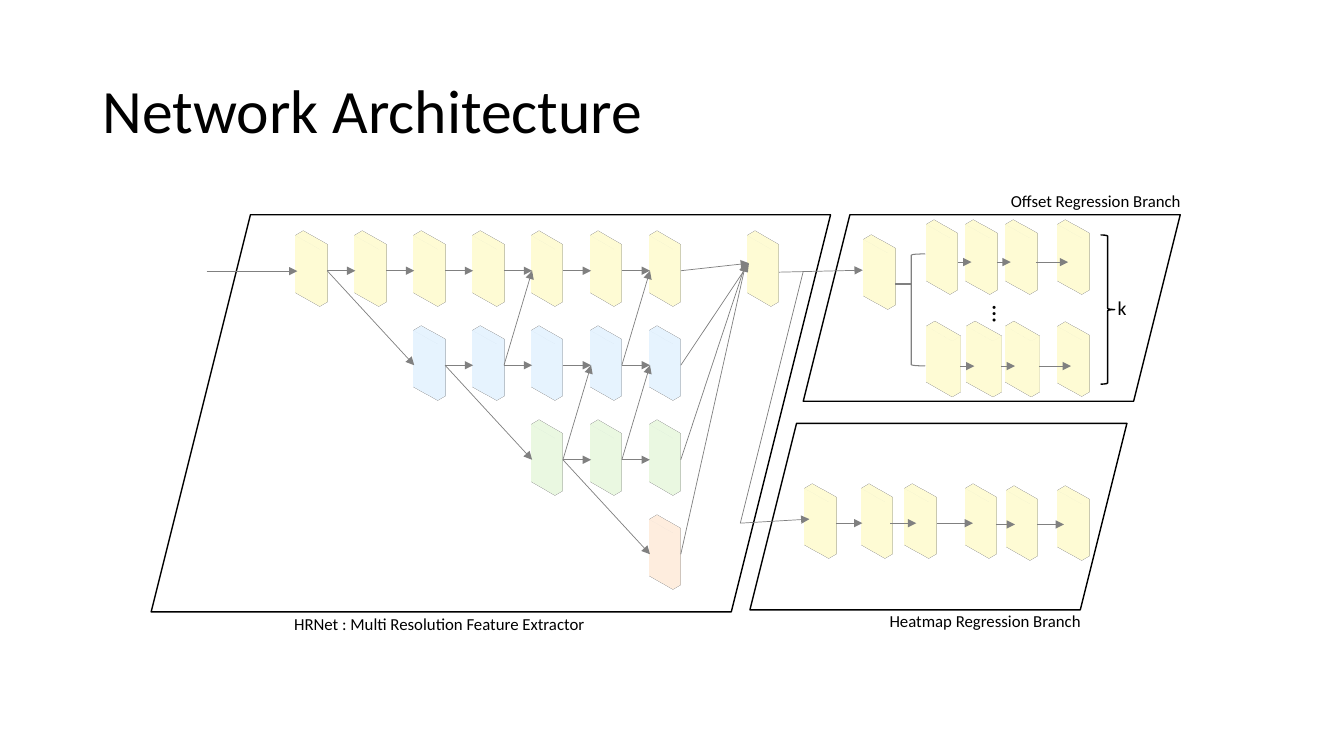
import pptx
import pptx.util
import pptx.dml.color
import pptx.enum.shapes
import pptx.enum.text
import pptx.oxml
import pptx.oxml.ns
from dataclasses import dataclass

Pt = pptx.util.Pt
Kind = pptx.enum.shapes.MSO_SHAPE
SPACE = pptx.oxml.ns.nsdecls("a")
FONT = "Calibri"
INK = {
    "black": "000000",
    "grey": "808080",
    "edge": "325491",
    "yellow": "FFF2CC",
    "blue": "DEEBF7",
    "green": "E2F0D9",
    "orange": "FBE5D6",
}
HEIGHT = 56.9
COL, ROW = 42.1, 67.5
LEFT, TOP = 206.7, 163.4
PORT = 30
LAST = 6
SCENE = (
    f'<a:scene3d {SPACE}><a:camera prst="isometricLeftDown"/>'
    '<a:lightRig rig="threePt" dir="t"/></a:scene3d>'
)


@dataclass
class Block:
    x: float
    y: float
    fill: str = "yellow"
    width: float = 31.7


@dataclass
class Link:
    x1: float
    y1: float
    x2: float
    y2: float
    head: bool = True
    weight: float = 0.5


@dataclass
class Frame:
    kind: Kind
    x: float
    y: float
    width: float
    height: float
    ink: str = "black"
    weight: float = 1


@dataclass
class Label:
    text: str
    x: float
    y: float
    width: float
    height: float
    size: float = 12
    wrap: bool = True
    turn: bool = False


def tint(name: str) -> pptx.dml.color.RGBColor:
    return pptx.dml.color.RGBColor.from_string(INK[name])


def stroke(line, ink: str, weight: float) -> None:
    line.color.rgb = tint(ink)
    line.width = Pt(weight)


def place(shapes, kind: Kind, item: Block | Frame, height: float):
    shape = shapes.add_shape(
        kind, Pt(item.x), Pt(item.y), Pt(item.width), Pt(height)
    )
    shape.shadow.inherit = False
    return shape


def draw_block(shapes, block: Block) -> None:
    shape = place(shapes, Kind.CUBE, block, HEIGHT)
    shape.fill.solid()
    shape.fill.fore_color.rgb = tint(block.fill)
    stroke(shape.line, "edge", 0)
    props = shape._element.spPr
    color = props.find(pptx.oxml.ns.qn("a:ln")).find(".//" + pptx.oxml.ns.qn("a:srgbClr"))
    color.append(pptx.oxml.parse_xml(f'<a:alpha {SPACE} val="19000"/>'))
    props.append(pptx.oxml.parse_xml(SCENE))


def draw_link(shapes, link: Link) -> None:
    wire = shapes.add_connector(
        pptx.enum.shapes.MSO_CONNECTOR.STRAIGHT,
        Pt(link.x1), Pt(link.y1), Pt(link.x2), Pt(link.y2),
    )
    stroke(wire.line, "grey", link.weight)
    props = wire._element.spPr
    if link.head:
        tail = pptx.oxml.parse_xml(f'<a:tailEnd {SPACE} type="triangle"/>')
        props.find(pptx.oxml.ns.qn("a:ln")).append(tail)
    props.append(pptx.oxml.parse_xml(f"<a:effectLst {SPACE}/>"))


def draw_frame(shapes, frame: Frame) -> None:
    shape = place(shapes, frame.kind, frame, frame.height)
    shape.fill.background()
    stroke(shape.line, frame.ink, frame.weight)


def style(frame, size: float) -> None:
    for run in frame.paragraphs[0].runs:
        run.font.name = FONT
        run.font.size = Pt(size)
        run.font.color.rgb = tint("black")


def draw_label(shapes, label: Label) -> None:
    box = shapes.add_textbox(
        Pt(label.x), Pt(label.y), Pt(label.width), Pt(label.height)
    )
    frame = box.text_frame
    frame.word_wrap = label.wrap
    frame.auto_size = pptx.enum.text.MSO_AUTO_SIZE.SHAPE_TO_FIT_TEXT
    frame.text = label.text
    style(frame, label.size)
    if label.turn:
        frame._txBody.bodyPr.set("vert", "eaVert")


def spot(col: int, row: int) -> tuple[float, float]:
    return LEFT + COL * col, TOP + ROW * row


def out(col: int, row: int) -> tuple[float, float]:
    x, y = spot(col, row)
    return x + 27, y + PORT


def join(start: tuple[int, int], end: tuple[int, int]) -> Link:
    x, y = spot(*end)
    return Link(*out(*start), x + 5, y + PORT)


def main() -> None:
    deck = pptx.Presentation()
    deck.slide_width, deck.slide_height = Pt(960), Pt(540)
    slide = deck.slides.add_slide(deck.slide_layouts[5])
    shapes = slide.shapes

    title = shapes.title
    title.left, title.top = Pt(66.2), Pt(28.8)
    title.width, title.height = Pt(828), Pt(104.4)
    frame = title.text_frame
    frame.text = "Network Architecture"
    frame.auto_size = pptx.enum.text.MSO_AUTO_SIZE.NONE
    frame.vertical_anchor = pptx.enum.text.MSO_ANCHOR.MIDDLE
    frame.paragraphs[0].alignment = pptx.enum.text.PP_ALIGN.LEFT
    frame.paragraphs[0].line_spacing = 0.9
    style(frame, 44)

    fills = ["yellow", "blue", "green", "orange"]
    cells = [(col, row) for row in range(4) for col in range(2 * row, LAST + 1)]
    blocks = [Block(*spot(*cell), fills[cell[1]]) for cell in cells]
    blocks += [Block(529.2, TOP), Block(612.4, 166)]
    blocks += [Block(x, 155) for x in (657.2, 685.3, 713.8, 751)]
    blocks += [Block(x, 228.2, width=34.6) for x in (656.6, 685.6, 713)]
    blocks.append(Block(751, 228.2))
    blocks += [Block(x, 343.7) for x in (570.2, 610.4, 641.6, 685)]
    blocks += [Block(x, 345.2) for x in (714.4, 751)]

    links = [join((c, r), (c + 1, r)) for c, r in cells if c < LAST]
    links += [join((2 * r, r), (2 * r + 2, r + 1)) for r in range(3)]
    rises = [(3, 1), (5, 1), (4, 2), (5, 2)]
    links += [join((c, r), (c + 1, r - 1)) for c, r in rises]
    ends = [535, 535, 532.8, 532.8]
    links += [Link(*out(LAST, row), x, 188) for row, x in enumerate(ends)]
    links += [Link(147.6, 193.7, 212.4, 193.7), Link(556.6, 194.4, 616.3, 193)]
    links.append(Link(639.4, 203, 650.9, 203, False, 1))
    flows = [
        (187.2, [(684, 694), (712, 722), (740, 763)]),
        (261.5, [(686, 696), (715, 725), (742, 765)]),
        (373.7, [(597, 616), (636, 654.5), (669, 695)]),
        (374.6, [(711.4, 725), (741, 760)]),
    ]
    links += [Link(a, y, b, y) for y, spans in flows for a, b in spans]
    links.append(Link(573.8, 193.7, 528.8, 373.7, False))
    links.append(Link(528.8, 373.7, 578.2, 370.8))

    slant = Kind.PARALLELOGRAM
    frames = [
        Frame(slant, 108, 153.4, 485.3, 283.7),
        Frame(slant, 573.8, 153.4, 269.3, 133.2),
        Frame(slant, 535.7, 302.4, 269.3, 133.2),
        Frame(Kind.LEFT_BRACKET, 650.9, 181.4, 10, 80, "grey", 0.75),
        Frame(Kind.RIGHT_BRACE, 786.2, 167.8, 10, 106.6),
    ]
    labels = [
        Label("HRNet : Multi Resolution Feature Extractor", 203, 434.9, 300, 21.6),
        Label("Offset Regression Branch", 715, 132.5, 160, 21.6),
        Label("Heatmap Regression Branch", 628.3, 432.7, 170, 21.6),
        Label("…", 694.8, 211, 36, 19.4, 18, False, True),
        Label("k", 791.3, 208.1, 20.9, 24.5, 14, False),
    ]
    groups = [
        (draw_frame, frames), (draw_block, blocks),
        (draw_link, links), (draw_label, labels),
    ]
    for draw, items in groups:
        for item in items:
            draw(shapes, item)
    deck.save("out.pptx")


if __name__ == "__main__":
    main()
